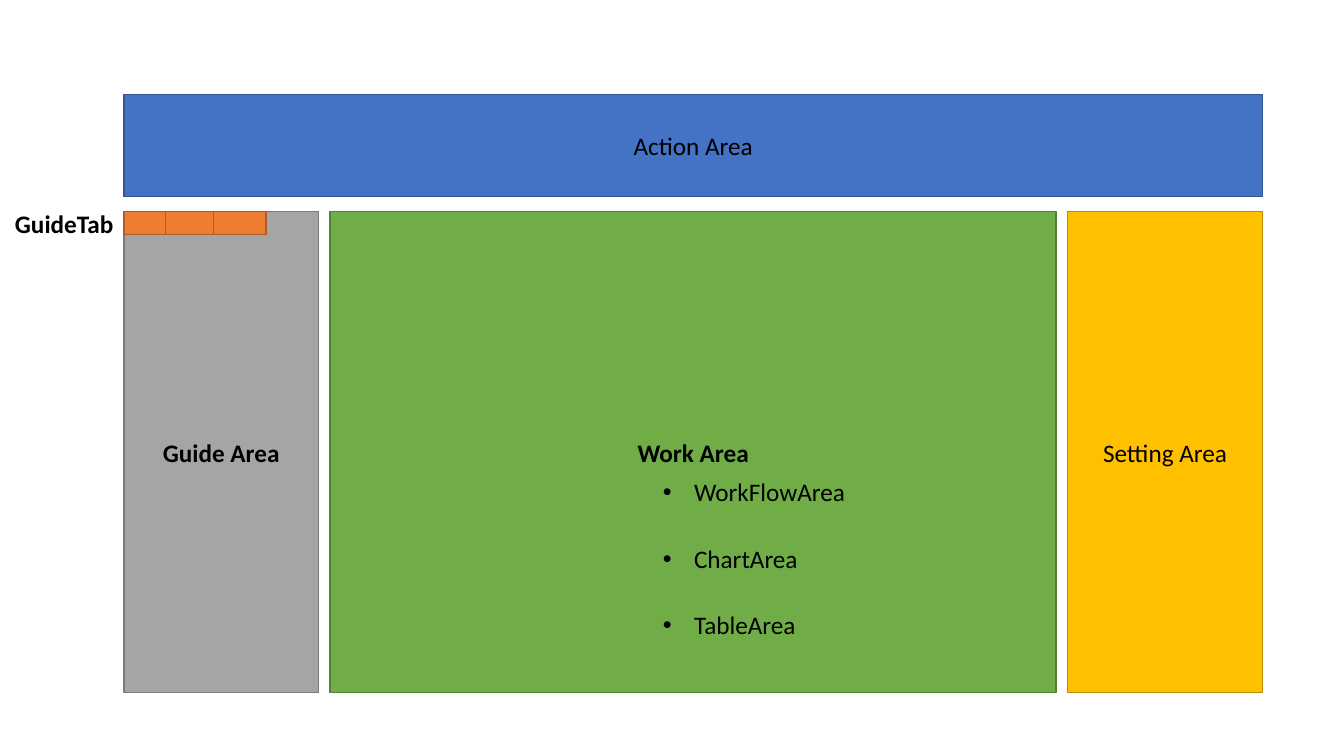
from pptx import Presentation
from pptx.dml.color import RGBColor
from pptx.enum.shapes import MSO_SHAPE as Shape
from pptx.enum.text import MSO_ANCHOR as Anchor, PP_ALIGN as Align
from pptx.oxml.ns import qn
from pptx.util import Inches, Pt
from lxml.etree import SubElement

COLORS = {
    "action": ("4472C4", "325491"),
    "guide": ("A5A5A5", "7A7A7A"),
    "work": ("70AD47", "538035"),
    "setting": ("FFC000", "BD8E00"),
    "tab": ("ED7D31", "AF5C24"),
    "text": "000000",
}
LABEL_FONT = {"name": "Calibri", "size": Pt(18), "bold": False}

# Layout grid, in inches
SLIDE_W, SLIDE_H = 13.33, 7.5
LEFT, RIGHT = 1.23, 12.52
ACTION_TOP, ACTION_H = 0.94, 1.01
BODY_TOP, BODY_H = 2.1, 4.77
SIDE_W, GUTTER = 1.93, 0.115
TAB_WIDTHS, TAB_H = (0.41, 0.475, 0.525), 0.23
BULLET_PITCH, BULLET_H = 0.66, 0.41


def write_label(frame, text, **changes):
    paragraph = frame.paragraphs[0]
    run = paragraph.add_run()
    run.text = text
    for attribute, value in (LABEL_FONT | changes).items():
        setattr(run.font, attribute, value)
    run.font.color.rgb = RGBColor.from_string(COLORS["text"])
    return paragraph


def add_area(slide, box, color, text="", bold=False):
    area = slide.shapes.add_shape(Shape.RECTANGLE, *map(Inches, box))
    area.shadow.inherit = False
    fill, outline = COLORS[color]
    area.fill.solid()
    area.fill.fore_color.rgb = RGBColor.from_string(fill)
    area.line.color.rgb = RGBColor.from_string(outline)
    area.line.width = Pt(1)
    if text:
        area.text_frame.vertical_anchor = Anchor.MIDDLE
        write_label(area.text_frame, text, bold=bold).alignment = Align.CENTER


def add_note(slide, box, text, wrap=True, bold=False):
    frame = slide.shapes.add_textbox(*map(Inches, box)).text_frame
    frame.word_wrap = wrap
    return write_label(frame, text, bold=bold)


def add_guide_area(slide, box):
    left, top, _, _ = box
    add_area(slide, box, "guide", "Guide Area", bold=True)
    # Tabs run side by side from the top left corner
    tab_left = left
    for width in TAB_WIDTHS:
        add_area(slide, (tab_left, top, width, TAB_H), "tab")
        tab_left += width
    # Label left of the tabs
    add_note(slide, (left - 1.18, top - 0.08, 1.19, 0.4), "GuideTab", wrap=False, bold=True)


def add_work_area(slide, box):
    left, top, _, _ = box
    add_area(slide, box, "work", "Work Area", bold=True)
    # Bulleted parts below the heading
    for row, part in enumerate(("WorkFlowArea", "ChartArea", "TableArea")):
        bullet_top = top + 2.58 + row * BULLET_PITCH
        paragraph = add_note(slide, (left + 3.2, bullet_top, 2.72, BULLET_H), part)
        properties = paragraph._p.get_or_add_pPr()
        properties.set("marL", str(Inches(0.31)))
        properties.set("indent", str(-Inches(0.31)))
        SubElement(properties, qn("a:buFont"), typeface="Arial")
        SubElement(properties, qn("a:buChar"), char="•")


def main():
    deck = Presentation()
    deck.slide_width, deck.slide_height = Inches(SLIDE_W), Inches(SLIDE_H)
    slide = deck.slides.add_slide(deck.slide_layouts[6])

    # Top band, then three columns
    add_area(slide, (LEFT, ACTION_TOP, RIGHT - LEFT, ACTION_H), "action", "Action Area")
    work_left = LEFT + SIDE_W + GUTTER
    setting_left = RIGHT - SIDE_W
    work_w = setting_left - GUTTER - work_left
    add_guide_area(slide, (LEFT, BODY_TOP, SIDE_W, BODY_H))
    add_work_area(slide, (work_left, BODY_TOP, work_w, BODY_H))
    add_area(slide, (setting_left, BODY_TOP, SIDE_W, BODY_H), "setting", "Setting Area")

    deck.save("out.pptx")


if __name__ == "__main__":
    main()
